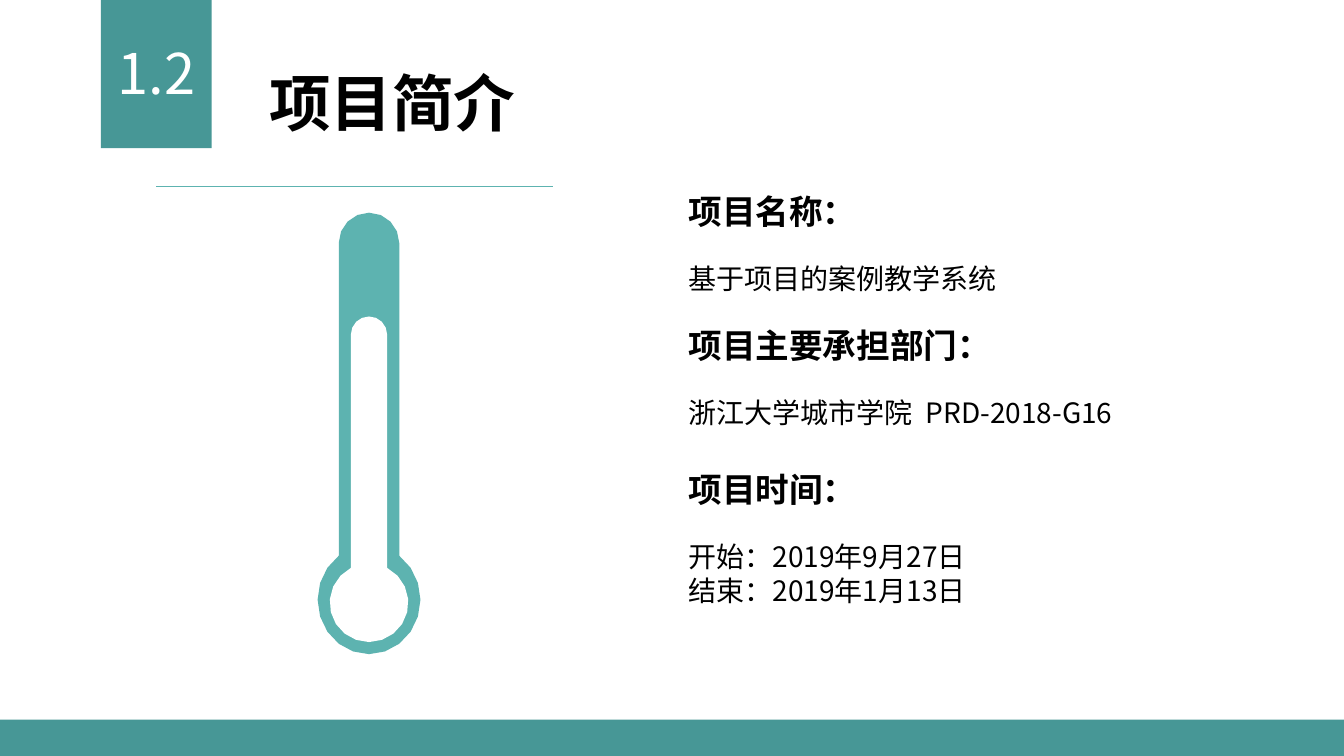
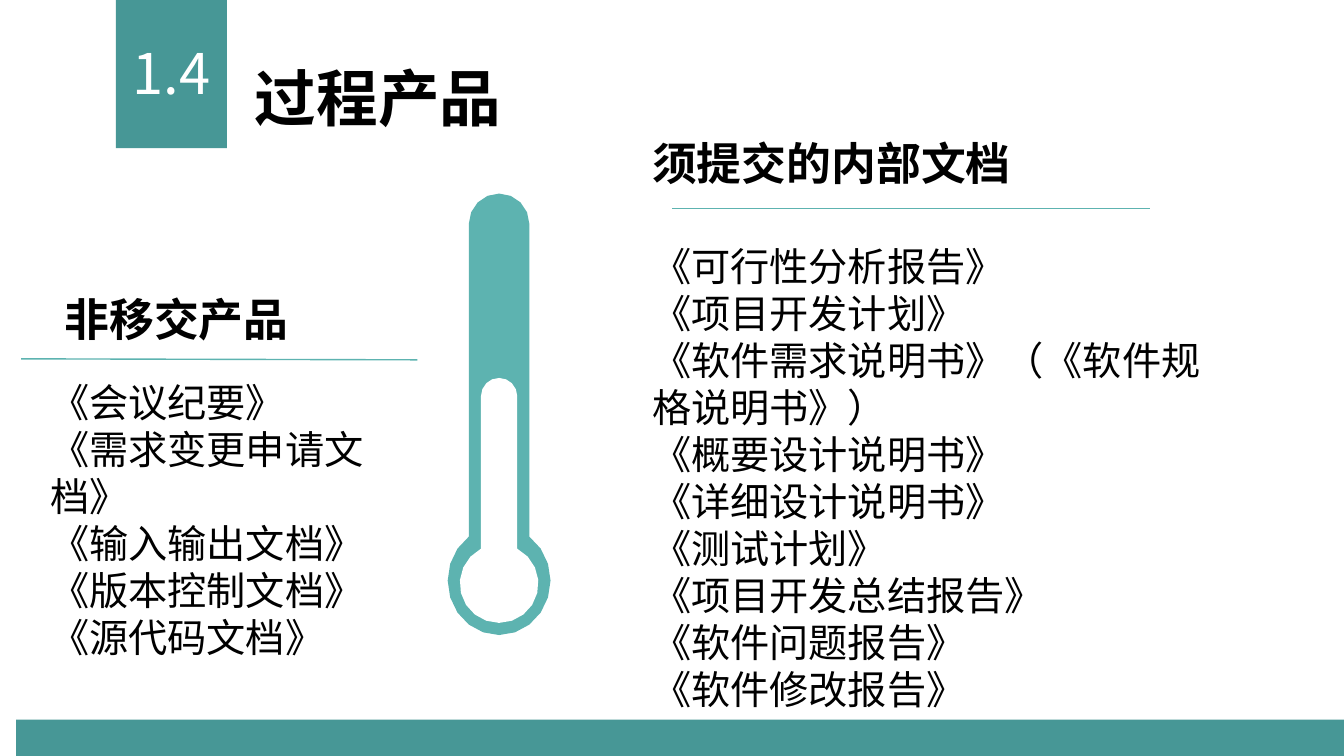
import math

import pptx
import pptx.dml.color
import pptx.enum.shapes
import pptx.enum.text
import pptx.oxml.ns
import pptx.util

Inches = pptx.util.Inches
Pt = pptx.util.Pt
SHAPE = pptx.enum.shapes.MSO_SHAPE
ALIGN = pptx.enum.text.PP_ALIGN


def rgb(value):
    return pptx.dml.color.RGBColor.from_string(value)


class Theme:
    band = rgb("479796")
    accent = rgb("5DB3B0")
    white = rgb("FFFFFF")
    black = rgb("000000")
    east_asian = "Noto Sans CJK SC"
    number = {"size": Pt(40), "name": "Noto Sans CJK KR", "color": white}
    title = {"size": Pt(44), "name": east_asian, "color": black, "bold": True}
    heading = {**title, "size": Pt(32)}
    label = {**title, "size": Pt(24)}
    detail = {**label, "size": Pt(20), "bold": False}
    listing = {"size": Pt(28), "name": "Arial", "color": black}


# Basic elements
def set_format(font, style):
    for name, value in style.items():
        if name == "color":
            font.color.rgb = value
        else:
            setattr(font, name, value)


def paint(sp, color):
    sp.shadow.inherit = False
    sp.fill.solid()
    sp.fill.fore_color.rgb = color
    sp.line.fill.background()


def add_rect(s, x, y, w, h, color):
    sp = s.shapes.add_shape(SHAPE.RECTANGLE, Inches(x), Inches(y), Inches(w), Inches(h))
    paint(sp, color)


def add_text(s, x, y, w, h, lines, align=ALIGN.LEFT):
    """Each line is (text, style, points of space before)."""
    tf = s.shapes.add_textbox(Inches(x), Inches(y), Inches(w), Inches(h)).text_frame
    tf.word_wrap = True
    for i, (text, style, gap) in enumerate(lines):
        p = tf.paragraphs[0] if i == 0 else tf.add_paragraph()
        p.alignment = align
        p.space_before = Pt(gap)
        r = p.add_run()
        r.text = text
        set_format(r.font, style)
        ea = r._r.get_or_add_rPr().makeelement(pptx.oxml.ns.qn("a:ea"), {"typeface": Theme.east_asian})
        r._r.rPr.find(pptx.oxml.ns.qn("a:latin")).addnext(ea)


def add_rule(s, x1, y1, x2, y2):
    line = s.shapes.add_connector(
        pptx.enum.shapes.MSO_CONNECTOR.STRAIGHT, Inches(x1), Inches(y1), Inches(x2), Inches(y2))
    line.line.color.rgb = Theme.accent
    line.line.width = Pt(1)
    pr = line._element.spPr
    pr.append(pr.makeelement(pptx.oxml.ns.qn("a:effectLst"), {}))


# Thermometer
def arc(cx, cy, rx, ry, start, end, steps):
    angles = [start + (end - start) * i / steps for i in range(steps + 1)]
    return [(Inches(cx + rx * math.cos(a)), Inches(cy + ry * math.sin(a))) for a in angles]


def add_tube(group, cx, top, half, bulb_y, rx, ry, color):
    """A round-capped tube running into an elliptical bulb."""
    neck = math.acos(half / rx)
    points = arc(cx, top + half, half, half, math.pi, 2 * math.pi, 8)
    points += arc(cx, bulb_y, rx, ry, -neck, math.pi + neck, 16)
    fb = group.shapes.build_freeform(*points[0])
    fb.add_line_segments(points[1:], close=True)
    paint(fb.convert_to_shape(), color)


def add_thermometer(s, cx, top, level):
    group = s.shapes.add_group_shape()
    add_tube(group, cx, top, 0.3, top + 3.84, 0.51, 0.54, Theme.accent)
    add_tube(group, cx, top + level, 0.18, top + 3.87, 0.39, 0.39, Theme.white)


# Shared frame: number tab, title and footer band
def add_frame(prs, number, title, tab_x, title_x, title_y, footer_x):
    s = prs.slides.add_slide(prs.slide_layouts[6])
    add_rect(s, tab_x, 0, 1.1, 1.47, Theme.band)
    add_text(s, tab_x, 0.33, 1.1, 0.77, [(number, Theme.number, 0)], ALIGN.CENTER)
    add_text(s, title_x, title_y, 6.93, 0.84, [(title, Theme.title, 0)])
    add_rect(s, footer_x, 7.14, 13.33 - footer_x, 0.36, Theme.band)
    return s


def add_documents(s, x, y, w, h, names):
    add_text(s, x, y, w, h, [(name, Theme.listing, 0) for name in names])


def build_introduction(prs):
    s = add_frame(prs, "1.2", "项目简介", 1, 2.57, 0.59, 0)
    add_thermometer(s, 3.66, 2.11, 1.03)
    add_rule(s, 1.55, 1.85, 5.48, 1.85)
    add_text(s, 6.73, 1.84, 5.17, 4.88, [
        ("项目名称：", Theme.label, 0),
        ("基于项目的案例教学系统", Theme.detail, 21.6),
        ("项目主要承担部门：", Theme.label, 21.6),
        ("浙江大学城市学院  PRD-2018-G16", Theme.detail, 21.6),
        ("项目时间：", Theme.label, 28.8),
        ("开始：2019年9月27日", Theme.detail, 21.6),
        ("结束：2019年1月13日", Theme.detail, 0),
    ])


def build_products(prs):
    s = add_frame(prs, "1.4", "过程产品", 1.15, 2.43, 0.55, 0.16)
    add_thermometer(s, 4.95, 1.92, 1.83)

    # Products that stay in house
    add_rule(s, 0.21, 3.56, 4.14, 3.57)
    add_text(s, 0.54, 2.84, 2.99, 0.64, [("非移交产品", Theme.heading, 0)])
    add_documents(s, 0.4, 3.7, 3.94, 2.93, [
        "《会议纪要》", "《需求变更申请文档》", "《输入输出文档》",
        "《版本控制文档》", "《源代码文档》"])

    # Internal documents to hand in
    add_rule(s, 6.67, 2.07, 11.41, 2.07)
    add_text(s, 6.37, 1.3, 3.86, 0.64, [("须提交的内部文档", Theme.heading, 0)])
    add_documents(s, 6.37, 2.35, 5.65, 4.81, [
        "《可行性分析报告》", "《项目开发计划》",
        "《软件需求说明书》（《软件规格说明书》）",
        "《概要设计说明书》", "《详细设计说明书》", "《测试计划》",
        "《项目开发总结报告》", "《软件问题报告》", "《软件修改报告》"])


def main():
    prs = pptx.Presentation()
    prs.slide_width = Inches(13.33)
    prs.slide_height = Inches(7.5)
    build_introduction(prs)
    build_products(prs)
    prs.save("out.pptx")


if __name__ == "__main__":
    main()
